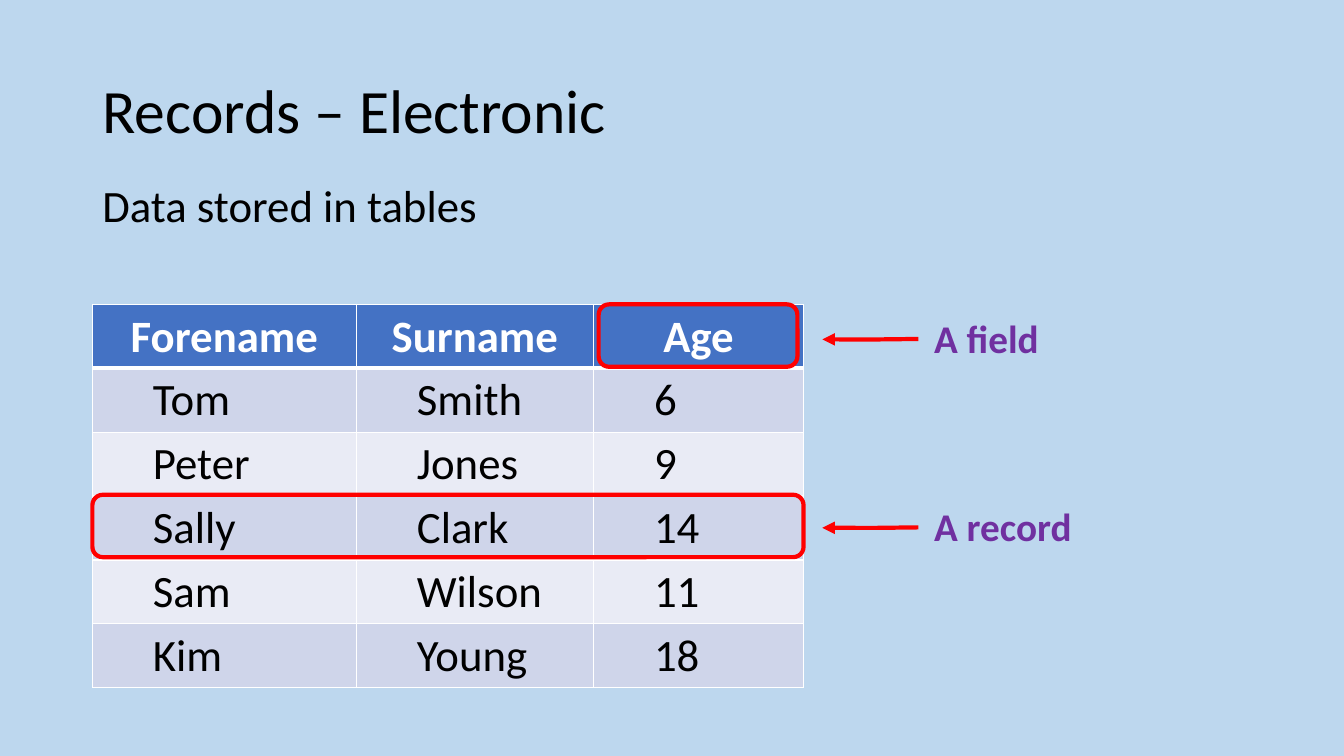
from dataclasses import dataclass

from lxml import etree
from pptx import Presentation
from pptx import util as u
from pptx.dml import color
from pptx.enum import shapes, text
from pptx.oxml import ns


@dataclass(frozen=True)
class Theme:
    font: str = "Calibri"
    background: str = "BDD7EE"
    ink: str = "000000"
    white: str = "FFFFFF"
    header: str = "4472C4"
    bands: tuple = ("E9EBF5", "CFD5EA")
    mark: str = "FF0000"
    label: str = "7030A0"
    title_size: int = 44
    body_size: int = 32
    label_size: int = 28
    mark_width: int = 3


theme = Theme()


def write(frame, words, size, tint, bold=False, align=text.PP_ALIGN.LEFT):
    frame.text = words
    para = frame.paragraphs[0]
    para.alignment = align
    span = para.runs[0]
    span.font.name = theme.font
    span.font.size = u.Pt(size)
    span.font.bold = bold
    span.font.color.rgb = color.RGBColor.from_string(tint)
    return para


def add_mark(kind, left, top, width, height):
    mark = slide.shapes.add_shape(kind, u.Pt(left), u.Pt(top), u.Pt(width), u.Pt(height))
    mark.shadow.inherit = False
    mark.fill.background()
    mark.line.color.rgb = color.RGBColor.from_string(theme.mark)
    mark.line.width = u.Pt(theme.mark_width)
    return mark


deck = Presentation()
deck.slide_width, deck.slide_height = u.Pt(960), u.Pt(540)
slide = deck.slides.add_slide(deck.slide_layouts[5])
slide.background.fill.solid()
slide.background.fill.fore_color.rgb = color.RGBColor.from_string(theme.background)

title = slide.shapes.title
title.left, title.top, title.width, title.height = u.Pt(66), u.Pt(28.75), u.Pt(828), u.Pt(104.4)
title.text_frame.auto_size = text.MSO_AUTO_SIZE.NONE
title.text_frame.vertical_anchor = text.MSO_ANCHOR.MIDDLE
para = write(title.text_frame, "Records – Electronic", theme.title_size, theme.ink)
para.line_spacing = 0.9

subtitle = slide.shapes.add_textbox(u.Pt(66), u.Pt(123.1), u.Pt(285), u.Pt(46))
subtitle.text_frame.word_wrap = False
subtitle.text_frame.auto_size = text.MSO_AUTO_SIZE.SHAPE_TO_FIT_TEXT
write(subtitle.text_frame, "Data stored in tables", theme.body_size, theme.ink)

people = [
    ("Forename", "Surname", "Age"),
    ("Tom", "Smith", "6"),
    ("Peter", "Jones", "9"),
    ("Sally", "Clark", "14"),
    ("Sam", "Wilson", "11"),
    ("Kim", "Young", "18"),
]
column_widths = (188.6, 169.4, 150)
row_height = 45.6
table_left, table_top, table_width = 66, 217.4, sum(column_widths)
table = slide.shapes.add_table(
    len(people), len(column_widths), u.Pt(table_left), u.Pt(table_top),
    u.Pt(table_width), u.Pt(row_height * len(people)),
).table
for column, width in zip(table.columns, column_widths):
    column.width = u.Pt(width)

for row_number, person in enumerate(people):
    table.rows[row_number].height = u.Pt(row_height)
    is_header = row_number == 0
    border_widths = {
        "lnL": 1,
        "lnR": 1,
        "lnT": 3 if row_number == 1 else 1,
        "lnB": 3 if is_header else 1,
    }
    for column_number, words in enumerate(person):
        cell = table.cell(row_number, column_number)
        if is_header:
            write(cell.text_frame, words, theme.body_size, theme.white, True, text.PP_ALIGN.CENTER)
        else:
            para = write(cell.text_frame, words, theme.body_size, theme.ink)
            para.level = 1
            properties = para._p.get_or_add_pPr()
            properties.set("marL", str(u.Pt(36)))
            properties.set("indent", "0")
        cell_properties = cell._tc.get_or_add_tcPr()
        for side, width in border_widths.items():
            border = etree.SubElement(cell_properties, ns.qn(f"a:{side}"), w=str(u.Pt(width)))
            fill = etree.SubElement(border, ns.qn("a:solidFill"))
            etree.SubElement(fill, ns.qn("a:srgbClr"), val=theme.white)
        cell.fill.solid()
        tint = theme.header if is_header else theme.bands[row_number % 2]
        cell.fill.fore_color.rgb = color.RGBColor.from_string(tint)

rounded = shapes.MSO_SHAPE.ROUNDED_RECTANGLE
add_mark(rounded, table_left, 353.4, table_width, 44.6)
add_mark(rounded, 427.6, table_top, 142, 44.6)

for words, top in (("A record", 356.6), ("A field", 222)):
    callout = add_mark(shapes.MSO_SHAPE.LINE_CALLOUT_2_NO_BORDER, 660.2, top, 187.2, 38.2)
    for number, value in enumerate((0.527, -0.022, 0.537, -0.19, 0.535, -0.389)):
        callout.adjustments[number] = value
    etree.SubElement(callout.line._get_or_add_ln(), ns.qn("a:tailEnd"), type="triangle")
    callout.text_frame.vertical_anchor = text.MSO_ANCHOR.MIDDLE
    write(callout.text_frame, words, theme.label_size, theme.label, True)

deck.save("out.pptx")
